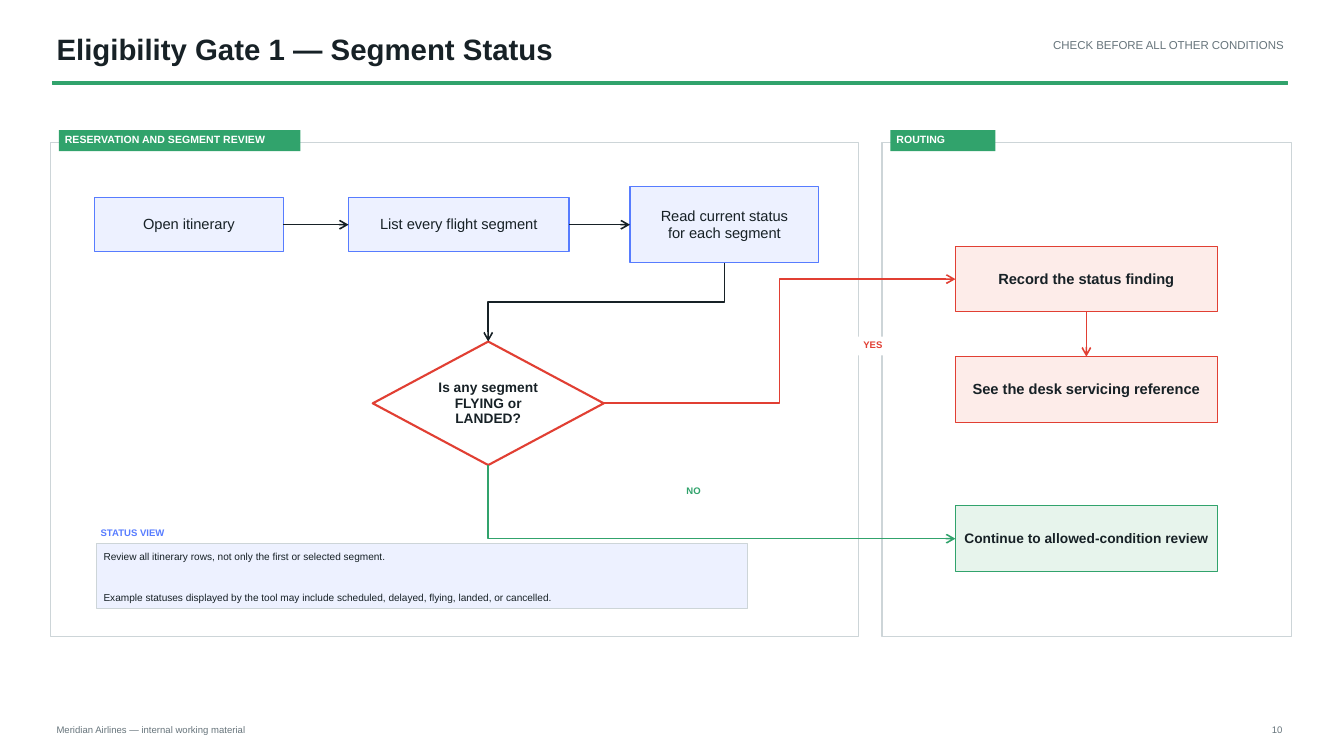
"""Build the segment status eligibility slide."""
from dataclasses import dataclass

from lxml import etree
from pptx import Presentation
from pptx.dml.color import RGBColor
from pptx.enum.shapes import MSO_CONNECTOR, MSO_SHAPE
from pptx.enum.text import MSO_ANCHOR, MSO_AUTO_SIZE, PP_ALIGN
from pptx.oxml.ns import qn
from pptx.util import Pt

RECTANGLE, DIAMOND = MSO_SHAPE.RECTANGLE, MSO_SHAPE.DIAMOND
STRAIGHT, ELBOW = MSO_CONNECTOR.STRAIGHT, MSO_CONNECTOR.ELBOW
LEFT, CENTER, RIGHT = PP_ALIGN.LEFT, PP_ALIGN.CENTER, PP_ALIGN.RIGHT
TOP, MIDDLE = MSO_ANCHOR.TOP, MSO_ANCHOR.MIDDLE
NO_AUTOFIT = MSO_AUTO_SIZE.NONE

INK = RGBColor(0x17, 0x21, 0x26)
GRAY = RGBColor(0x66, 0x74, 0x7B)
BORDER = RGBColor(0xCD, 0xD5, 0xD8)
WHITE = RGBColor(0xFF, 0xFF, 0xFF)
GREEN = RGBColor(0x31, 0xA3, 0x6C)
PALE_GREEN = RGBColor(0xE7, 0xF4, 0xEC)
BLUE = RGBColor(0x57, 0x7C, 0xFF)
PALE_BLUE = RGBColor(0xED, 0xF1, 0xFF)
RED = RGBColor(0xE1, 0x3F, 0x33)
PALE_RED = RGBColor(0xFD, 0xEC, 0xE9)

FONT = "Arial"
TITLE_ONLY = 5


@dataclass(frozen=True)
class TextStyle:
    size: float
    color: RGBColor = INK
    bold: bool = False
    align: PP_ALIGN = LEFT
    anchor: MSO_ANCHOR = TOP
    insets: tuple[float, float, float, float] = (2.9, 1.4, 2.9, 1.4)
    line_spacing: float = 1.0
    gap: float = 0


@dataclass(frozen=True)
class Box:
    left: float
    top: float
    width: float
    height: float
    lines: tuple[str, ...] = ()
    style: TextStyle | None = None
    fill: RGBColor | None = None
    line: RGBColor | None = None
    line_width: float = 0.75
    shape: MSO_SHAPE | None = RECTANGLE

    @property
    def right(self) -> float:
        return self.left + self.width

    @property
    def bottom(self) -> float:
        return self.top + self.height

    @property
    def center(self) -> float:
        return self.left + self.width / 2

    @property
    def middle(self) -> float:
        return self.top + self.height / 2


@dataclass(frozen=True)
class Link:
    start: tuple[float, float]
    end: tuple[float, float]
    color: RGBColor
    bends: tuple[int, ...] = ()


NODE_INSETS = (5, 4.3, 5, 4.3)
TITLE_STYLE = TextStyle(21, bold=True)
NOTE_STYLE = TextStyle(8.2, GRAY, align=RIGHT)
TAG_STYLE = TextStyle(7.5, WHITE, True, insets=(4.3, 2.2, 4.3, 1.4))
STEP_STYLE = TextStyle(10.5, INK, False, CENTER, MIDDLE, NODE_INSETS, 0.96)
ROUTE_STYLE = TextStyle(10.5, INK, True, CENTER, MIDDLE, NODE_INSETS, 0.96)
SMALL_STYLE = TextStyle(9.8, INK, True, CENTER, MIDDLE, NODE_INSETS, 0.96)
STATUS_STYLE = TextStyle(7.2, insets=(5, 5, 5, 3.6), line_spacing=0.96, gap=21)


def panel(left: float, width: float, label: str, tag_width: float) -> list[Box]:
    """Return a bordered panel and the tag on its top edge."""
    return [Box(left, 101.5, width, 353, line=BORDER),
            Box(left + 6, 93, tag_width, 15, (label,), TAG_STYLE, GREEN)]


def step(left: float, width: float, height: float, *lines: str) -> Box:
    """Return a review step centred on the top row."""
    return Box(left, 160.5 - height / 2, width, height, lines, STEP_STYLE, PALE_BLUE, BLUE)


def route(top: float, label: str, style: TextStyle, fill: RGBColor, line: RGBColor) -> Box:
    """Return a box of the routing column."""
    return Box(682.5, top, 187, 46.8, (label,), style, fill, line)


def badge(left: float, top: float, label: str, color: RGBColor) -> Box:
    """Return the answer label of a branch."""
    style = TextStyle(6.8, color, True, CENTER, insets=(1.4, 1.4, 1.4, 0.7))
    return Box(left, top, 39, 13.5, (label,), style, WHITE)


def caption(left: float, top: float, width: float, label: str, style: TextStyle,
            height: float = 13.5) -> Box:
    """Return a plain text box."""
    return Box(left, top, width, height, (label,), style, shape=None)


def assign(target, values: dict) -> None:
    """Set each named value on the target."""
    for name, value in values.items():
        setattr(target, name, value)


def place(shape, box: Box) -> None:
    """Move a shape to the bounds of a box."""
    assign(shape, {name: Pt(getattr(box, name)) for name in ("left", "top", "width", "height")})


def write(frame, box: Box) -> None:
    """Write and format the lines of a box."""
    style = box.style
    sides = ("margin_left", "margin_top", "margin_right", "margin_bottom")
    assign(frame, {"word_wrap": True, "auto_size": NO_AUTOFIT, "vertical_anchor": style.anchor})
    assign(frame, {side: Pt(inset) for side, inset in zip(sides, style.insets)})
    for index, line in enumerate(box.lines):
        para = frame.add_paragraph() if index else frame.paragraphs[0]
        assign(para, {"alignment": style.align, "line_spacing": style.line_spacing,
                      "space_before": Pt(style.gap if index else 0)})
        span = para.add_run()
        span.text = line
        assign(span.font, {"name": FONT, "size": Pt(style.size), "bold": style.bold})
        span.font.color.rgb = style.color


def paint(fill, color: RGBColor | None) -> None:
    """Apply a solid colour or no fill."""
    if color is None:
        fill.background()
    else:
        fill.solid()
        fill.fore_color.rgb = color


def draw_box(page, box: Box) -> None:
    """Draw a box as a shape or a text box."""
    if box.shape is None:
        shape = page.shapes.add_textbox(0, 0, 0, 0)
    else:
        shape = page.shapes.add_shape(box.shape, 0, 0, 0, 0)
        shape.shadow.inherit = False
        paint(shape.fill, box.fill)
        paint(shape.line.fill, box.line)
        if box.line is not None:
            shape.line.width = Pt(box.line_width)
    place(shape, box)
    if box.style:
        write(shape.text_frame, box)


def draw_link(page, link: Link) -> None:
    """Draw an arrow, bent at the given percentages."""
    kind = ELBOW if link.bends else STRAIGHT
    ends = [Pt(value) for value in link.start + link.end]
    connector = page.shapes.add_connector(kind, *ends)
    connector.line.color.rgb = link.color
    connector.line.width = Pt(1.13)
    properties = connector._element.spPr
    if link.bends:
        geometry = properties.find(qn("a:prstGeom"))
        geometry.set("prst", f"bentConnector{len(link.bends) + 2}")
        guides = geometry.find(qn("a:avLst"))
        for number, percent in enumerate(link.bends, 1):
            etree.SubElement(guides, qn("a:gd"), name=f"adj{number}", fmla=f"val {percent * 1000}")
    etree.SubElement(properties.find(qn("a:ln")), qn("a:tailEnd"), type="arrow")
    etree.SubElement(properties, qn("a:effectLst"))


def main() -> None:
    """Assemble and save the deck."""
    deck = Presentation()
    assign(deck, {"slide_width": Pt(960), "slide_height": Pt(540)})
    page = deck.slides.add_slide(deck.slide_layouts[TITLE_ONLY])
    heading = Box(37.5, 21, 637, 31.7, ("Eligibility Gate 1 — Segment Status",), TITLE_STYLE)
    place(page.shapes.title, heading)
    write(page.shapes.title.text_frame, heading)

    itinerary = step(67.5, 135, 39, "Open itinerary")
    segments = step(249, 157.5, 39, "List every flight segment")
    status = step(450, 135, 54.5, "Read current status", "for each segment")
    question = Box(266.25, 244, 165, 88.2, ("Is any segment", "FLYING or LANDED?"),
                   SMALL_STYLE, WHITE, RED, 1.5, DIAMOND)
    record = route(176, "Record the status finding", ROUTE_STYLE, PALE_RED, RED)
    reference = route(254.8, "See the desk servicing reference", ROUTE_STYLE, PALE_RED, RED)
    proceed = route(361.4, "Continue to allowed-condition review", SMALL_STYLE, PALE_GREEN, GREEN)

    boxes = [
        caption(676.5, 26, 243.5, "CHECK BEFORE ALL OTHER CONDITIONS", NOTE_STYLE, 22.5),
        Box(37.5, 58.3, 882, 2.3, fill=GREEN, line=GREEN, line_width=0),
        *panel(36, 577.5, "RESERVATION AND SEGMENT REVIEW", 172.5),
        *panel(630, 292.5, "ROUTING", 75),
        itinerary, segments, status, question, record, reference, proceed,
    ]
    links = [
        Link((itinerary.right, itinerary.middle), (segments.left, segments.middle), INK),
        Link((segments.right, segments.middle), (status.left, status.middle), INK),
        Link((status.center, status.bottom), (question.center, question.top), INK, (0, 50)),
        Link((question.right, question.middle), (record.left, record.middle), RED, (50,)),
        Link((record.center, record.bottom), (reference.center, reference.top), RED),
        Link((question.center, question.bottom), (proceed.left, proceed.middle), GREEN, (0,)),
    ]
    details = [
        badge(604, 240.5, "YES", RED),
        badge(476, 345, "NO", GREEN),
        caption(69, 375, 465, "STATUS VIEW", TextStyle(6.8, BLUE, True)),
        Box(69, 388.5, 465, 46.5, (
            "Review all itinerary rows, not only the first or selected segment.",
            "Example statuses displayed by the tool may include scheduled, delayed, flying, "
            "landed, or cancelled.",
        ), STATUS_STYLE, PALE_BLUE, BORDER),
        caption(37.5, 515.5, 224.5, "Meridian Airlines — internal working material",
                TextStyle(6.8, GRAY)),
        caption(881.5, 515.5, 37.5, "10", TextStyle(6.8, GRAY, align=RIGHT)),
    ]
    for box in boxes:
        draw_box(page, box)
    for link in links:
        draw_link(page, link)
    for box in details:
        draw_box(page, box)
    deck.save("out.pptx")


if __name__ == "__main__":
    main()
